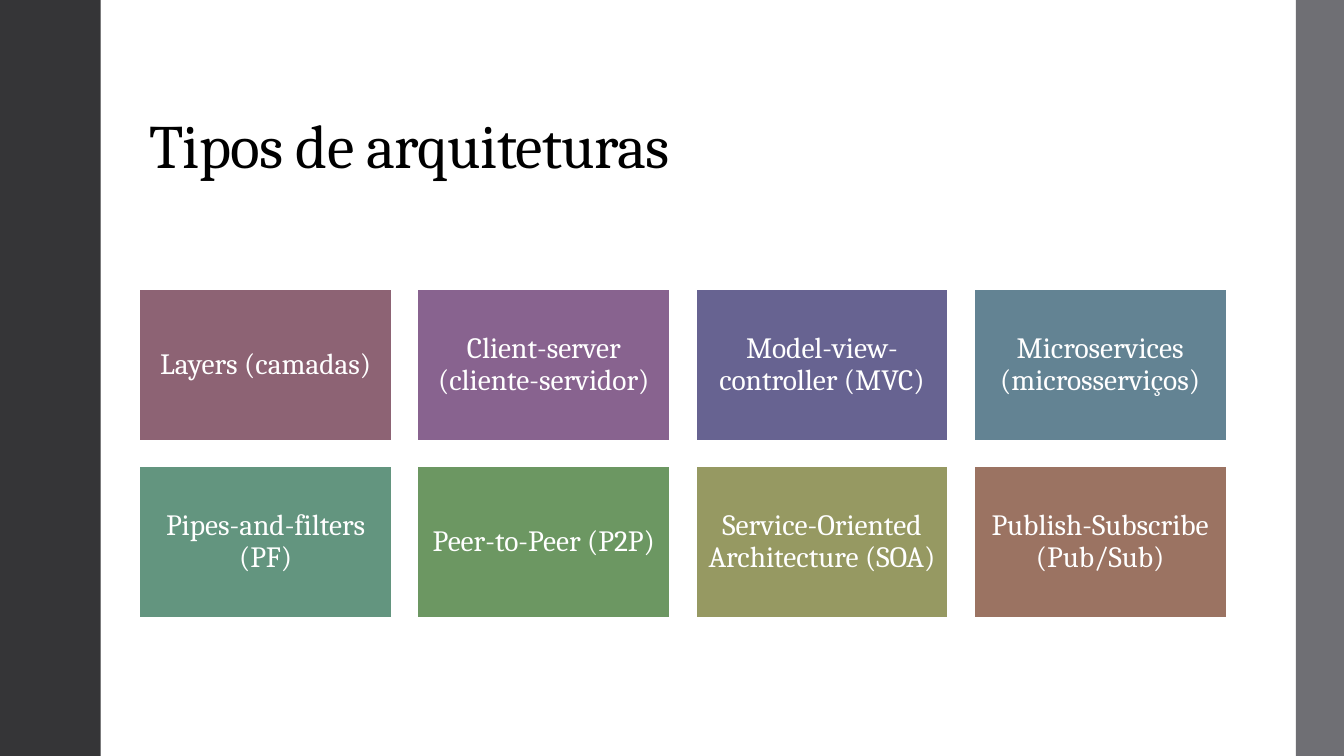
from pptx import Presentation
from pptx.dml.color import RGBColor
from pptx.enum.shapes import MSO_SHAPE
from pptx.enum.text import MSO_ANCHOR, MSO_AUTO_SIZE, PP_ALIGN
from pptx.util import Cm, Pt

RECTANGLE = MSO_SHAPE.RECTANGLE
MIDDLE, BOTTOM = MSO_ANCHOR.MIDDLE, MSO_ANCHOR.BOTTOM
LEFT, CENTER = PP_ALIGN.LEFT, PP_ALIGN.CENTER
NO_AUTOFIT = MSO_AUTO_SIZE.NONE

FONT = "Cambria"
BLACK = RGBColor(0x00, 0x00, 0x00)
WHITE = RGBColor(0xFF, 0xFF, 0xFF)
CHARCOAL = RGBColor(0x35, 0x35, 0x37)
GRAY = RGBColor(0x6F, 0x6F, 0x74)

SLIDE_WIDTH, SLIDE_HEIGHT = 33.87, 19.05
LEFT_BAR_WIDTH, RIGHT_BAR_WIDTH = 2.54, 1.21

# Card grid, in centimetres
COLUMNS = 4
GRID_LEFT, GRID_TOP = 3.51, 7.29
CARD_WIDTH, CARD_HEIGHT = 6.37, 3.82
CARD_GAP = 0.64

ARCHITECTURES = [
    ("Layers (camadas)", RGBColor(0x8D, 0x63, 0x74)),
    ("Client-server (cliente-servidor)", RGBColor(0x88, 0x63, 0x8F)),
    ("Model-view-controller (MVC)", RGBColor(0x67, 0x63, 0x91)),
    ("Microservices (microsserviços)", RGBColor(0x63, 0x83, 0x93)),
    ("Pipes-and-filters (PF)", RGBColor(0x63, 0x95, 0x7F)),
    ("Peer-to-Peer (P2P)", RGBColor(0x6C, 0x97, 0x62)),
    ("Service-Oriented Architecture (SOA)", RGBColor(0x96, 0x99, 0x62)),
    ("Publish-Subscribe (Pub/Sub)", RGBColor(0x9B, 0x73, 0x62)),
]


def write_text(text_frame, text, size, color, alignment, anchor):
    text_frame.word_wrap = True
    text_frame.auto_size = NO_AUTOFIT
    text_frame.vertical_anchor = anchor
    paragraph = text_frame.paragraphs[0]
    paragraph.alignment = alignment
    paragraph.line_spacing = 0.9
    run = paragraph.add_run()
    run.text = text
    run.font.name = FONT
    run.font.size = Pt(size)
    run.font.color.rgb = color
    return run


def add_rectangle(slide, left, top, width, height, color):
    shape = slide.shapes.add_shape(
        RECTANGLE, Cm(left), Cm(top), Cm(width), Cm(height))
    shape.shadow.inherit = False
    shape.fill.solid()
    shape.fill.fore_color.rgb = color
    shape.line.fill.background()
    return shape


def add_title(slide, text):
    title = slide.shapes.title
    title.left, title.top = Cm(GRID_LEFT), Cm(1.02)
    title.width, title.height = Cm(27.38), Cm(3.68)
    run = write_text(title.text_frame, text, 44, BLACK, LEFT, BOTTOM)
    run.font._element.set("spc", "-50")  # letter spacing of -0.5 pt


def add_card(slide, left, top, text, color):
    card = add_rectangle(slide, left, top, CARD_WIDTH, CARD_HEIGHT, color)
    card.line.color.rgb = WHITE
    card.line.width = Pt(1.35)
    frame = card.text_frame
    frame.margin_left = frame.margin_right = Cm(0.22)
    frame.margin_top = frame.margin_bottom = Cm(0.22)
    write_text(frame, text, 21, WHITE, CENTER, MIDDLE)


def main():
    presentation = Presentation()
    presentation.slide_width = Cm(SLIDE_WIDTH)
    presentation.slide_height = Cm(SLIDE_HEIGHT)
    slide = presentation.slides.add_slide(presentation.slide_layouts[5])
    slide.background.fill.solid()
    slide.background.fill.fore_color.rgb = WHITE

    add_title(slide, "Tipos de arquiteturas")

    # Side bars
    add_rectangle(slide, 0, 0, LEFT_BAR_WIDTH, SLIDE_HEIGHT, CHARCOAL)
    add_rectangle(slide, SLIDE_WIDTH - RIGHT_BAR_WIDTH, 0,
                  RIGHT_BAR_WIDTH, SLIDE_HEIGHT, GRAY)

    # Architecture cards
    for index, (name, color) in enumerate(ARCHITECTURES):
        row, column = divmod(index, COLUMNS)
        add_card(slide, GRID_LEFT + column * (CARD_WIDTH + CARD_GAP),
                 GRID_TOP + row * (CARD_HEIGHT + CARD_GAP), name, color)

    presentation.save("out.pptx")


if __name__ == "__main__":
    main()
